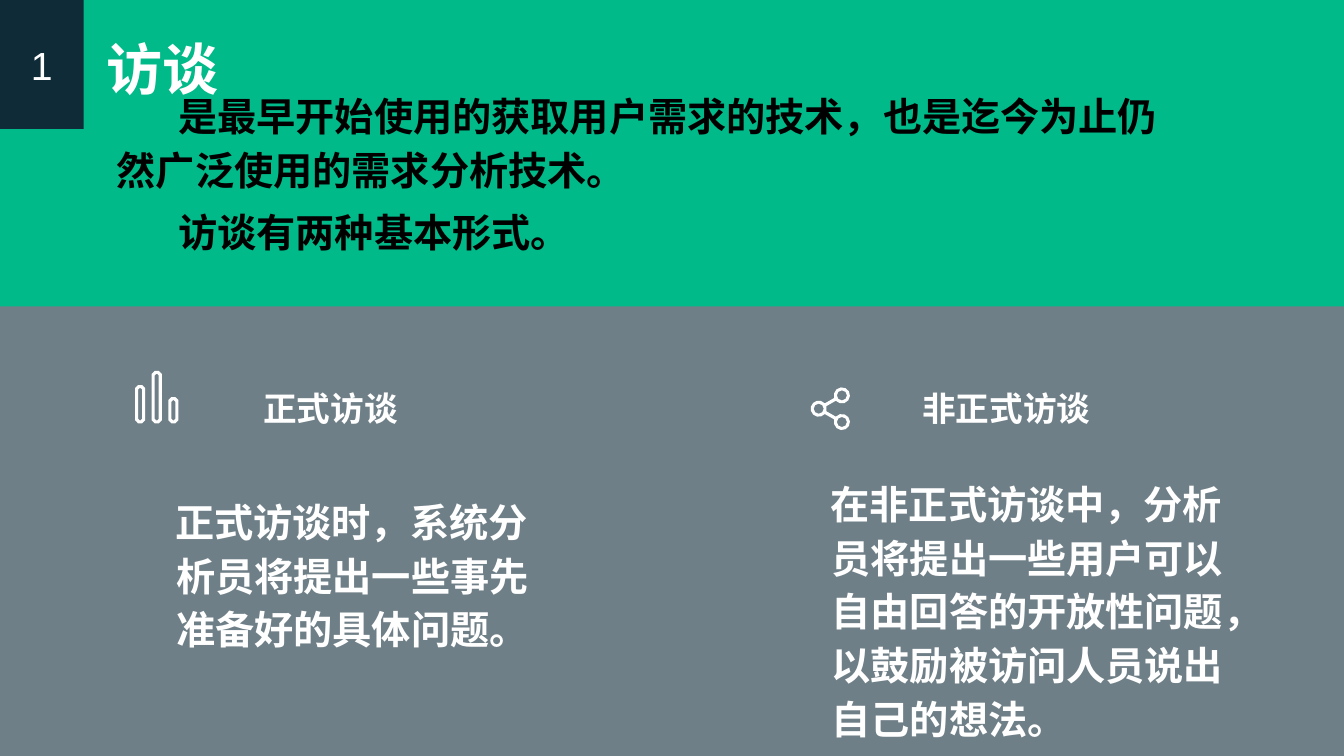
"""Build a slide that compares formal and informal interviews."""

import math
from dataclasses import dataclass

import lxml.etree
import pptx
import pptx.dml.color
import pptx.enum.shapes
import pptx.enum.text
import pptx.oxml.ns
import pptx.util

COLOURS = {"green": "00BA89", "navy": "0F2B37", "white": "FFFFFF", "black": "000000"}
CHINESE_FONT = "Noto Sans CJK SC"
SLIDE_WIDTH = pptx.util.Inches(13.33)
SLIDE_HEIGHT = pptx.util.Inches(7.5)
ICON_UNIT = SLIDE_WIDTH / 1333
ALIGN = pptx.enum.text.PP_ALIGN
ANCHOR = pptx.enum.text.MSO_ANCHOR
AUTO_SIZE = pptx.enum.text.MSO_AUTO_SIZE

Contour = list[tuple[float, float]]


@dataclass(frozen=True)
class Box:
    """A rectangle in percent of the slide's width and height."""

    left: float
    top: float
    width: float
    height: float

    def place(self) -> dict[str, int]:
        return {
            "left": round(self.left * SLIDE_WIDTH / 100),
            "top": round(self.top * SLIDE_HEIGHT / 100),
            "width": round(self.width * SLIDE_WIDTH / 100),
            "height": round(self.height * SLIDE_HEIGHT / 100),
        }


@dataclass(frozen=True)
class Panel:
    """A plain rectangle with an opacity in percent."""

    box: Box
    colour: str
    opacity: int = 100


@dataclass(frozen=True)
class TextStyle:
    """The look of every paragraph in one block."""

    size: float
    colour: str = "white"
    bold: bool = True
    font: str = CHINESE_FONT
    align: ALIGN = ALIGN.LEFT
    line_spacing: float = 1.0
    space_after: float = 0
    margin: float = 0
    indent: float = 0


@dataclass(frozen=True)
class TextBlock:
    """A text box with its paragraphs."""

    box: Box
    style: TextStyle
    paragraphs: tuple[str, ...]


LABEL = TextStyle(24, align=ALIGN.CENTER)
DETAIL = TextStyle(28, line_spacing=1.14, margin=0.75, indent=-0.01)
INTRO = TextStyle(28, "black", line_spacing=1.14, space_after=6, margin=0.39, indent=0.61)
TITLE = TextBlock(Box(7.2, 3.87, 14.48, 10.27), TextStyle(40), ("访谈",))
BADGE = TextBlock(Box(0, 0, 6.23, 17.07), TextStyle(28, bold=False, font="Arial", align=ALIGN.CENTER), ("1",))
PANELS = (
    Panel(Box(0, 34.13, 100, 65.87), "navy", 60),
    Panel(Box(0, 0, 100, 40.53), "green"),
)
TEXT_BLOCKS = (
    TextBlock(Box(15.45, 50.67, 18.3, 6.67), LABEL, ("正式访谈",)),
    TextBlock(Box(6.75, 64.4, 34.81, 21.87), DETAIL, ("正式访谈时，系统分析员将提出一些事先准备好的具体问题。",)),
    TextBlock(Box(65.72, 50.67, 18.3, 6.67), LABEL, ("非正式访谈",)),
    TextBlock(
        Box(55.51, 62, 36.76, 37.2),
        DETAIL,
        ("在非正式访谈中，分析员将提出一些用户可以自由回答的开放性问题，以鼓励被访问人员说出自己的想法。",),
    ),
    TextBlock(
        Box(5.03, 10.67, 84.4, 24),
        INTRO,
        ("是最早开始使用的获取用户需求的技术，也是迄今为止仍然广泛使用的需求分析技术。", "访谈有两种基本形式。"),
    ),
)
BAR_TOPS = (382, 368, 394)
HUB, UPPER_NODE, LOWER_NODE = (812, 405.5), (835, 392.3), (835, 418.7)
NODE_RADIUS, HOLE_RADIUS = 8, 5
LINK_ANGLE, LINK_SPREAD = 30, 11.5


def apply(target: object, values: dict[str, object]) -> None:
    for name, value in values.items():
        setattr(target, name, value)


def rgb(colour: str) -> pptx.dml.color.RGBColor:
    return pptx.dml.color.RGBColor.from_string(COLOURS[colour])


def paint(shape: pptx.shapes.autoshape.Shape, colour: str, opacity: int = 100) -> None:
    shape.shadow.inherit = False
    shape.fill.solid()
    shape.fill.fore_color.rgb = rgb(colour)
    shape.line.fill.background()
    if opacity < 100:
        tag = pptx.oxml.ns.qn("a:srgbClr")
        fill_colour = next(shape._element.spPr.iter(tag))
        alpha = lxml.etree.SubElement(fill_colour, pptx.oxml.ns.qn("a:alpha"))
        alpha.set("val", str(opacity * 1000))


def add_panel(slide: pptx.slide.Slide, panel: Panel) -> pptx.shapes.autoshape.Shape:
    rectangle = pptx.enum.shapes.MSO_SHAPE.RECTANGLE
    shape = slide.shapes.add_shape(rectangle, **panel.box.place())
    paint(shape, panel.colour, panel.opacity)
    return shape


def write(shape: pptx.shapes.autoshape.Shape, block: TextBlock, frame_format: dict[str, object]) -> None:
    style = block.style
    frame = shape.text_frame
    frame.text = "\n".join(block.paragraphs)
    apply(frame, {"word_wrap": True, **frame_format})
    for paragraph in frame.paragraphs:
        apply(paragraph, {
            "alignment": style.align,
            "line_spacing": style.line_spacing,
            "space_after": pptx.util.Pt(style.space_after),
        })
        properties = paragraph._p.get_or_add_pPr()
        properties.set("marL", str(pptx.util.Inches(style.margin)))
        properties.set("indent", str(pptx.util.Inches(style.indent)))
        for run in paragraph.runs:
            apply(run.font, {"size": pptx.util.Pt(style.size), "bold": style.bold, "name": style.font})
            run.font.color.rgb = rgb(style.colour)
            east_asian = lxml.etree.SubElement(run._r.get_or_add_rPr(), pptx.oxml.ns.qn("a:ea"))
            east_asian.set("typeface", style.font)


def arc(centre: tuple[float, float], radius: float, start: float, sweep: float, steps: int) -> Contour:
    angles = [math.radians(start + sweep * step / steps) for step in range(steps + 1)]
    return [(centre[0] + radius * math.cos(angle), centre[1] + radius * math.sin(angle)) for angle in angles]


def rounded_bar(left: float, top: float, right: float, bottom: float, radius: float) -> Contour:
    corners = (
        (right - radius, bottom - radius), (left + radius, bottom - radius),
        (left + radius, top + radius), (right - radius, top + radius),
    )
    return [point for index, corner in enumerate(corners) for point in arc(corner, radius, 90 * index, 90, 1)]


def share_contours() -> list[Contour]:
    outer, inner = LINK_ANGLE + LINK_SPREAD, LINK_ANGLE - LINK_SPREAD
    around = 360 - 2 * LINK_SPREAD
    arcs = (
        (HUB, outer, 360 - 2 * outer, 9),
        (UPPER_NODE, 180 - inner, around, 10),
        (HUB, -inner, 2 * inner, 1),
        (LOWER_NODE, 180 + outer, around, 10),
    )
    outline = [
        point
        for centre, start, sweep, steps in arcs
        for point in arc(centre, NODE_RADIUS, start, sweep, steps)
    ]
    return [outline] + [arc(centre, HOLE_RADIUS, 0, 360, 8)[1:] for centre in (HUB, UPPER_NODE, LOWER_NODE)]


def add_icon(slide: pptx.slide.Slide, contours: list[Contour]) -> None:
    scaled = [[(x * ICON_UNIT, y * ICON_UNIT) for x, y in contour] for contour in contours]
    builder = slide.shapes.build_freeform(*scaled[0][0])
    for index, contour in enumerate(scaled):
        if index:
            builder.move_to(*contour[0])
        builder.add_line_segments(contour[1:], close=True)
    paint(builder.convert_to_shape(), "white")


def main() -> None:
    presentation = pptx.Presentation()
    apply(presentation, {"slide_width": SLIDE_WIDTH, "slide_height": SLIDE_HEIGHT})
    slide = presentation.slides.add_slide(presentation.slide_layouts[5])
    title = slide.shapes.title
    for panel in PANELS:
        add_panel(slide, panel)._element.addnext(title._element)
    growing = {"auto_size": AUTO_SIZE.SHAPE_TO_FIT_TEXT, "vertical_anchor": ANCHOR.TOP}
    apply(title, TITLE.box.place())
    write(title, TITLE, growing)
    add_icon(slide, [
        rounded_bar(left + inset, top + inset, left + 10 - inset, 420 - inset, radius)
        for left, top in zip((134, 150.5, 167), BAR_TOPS)
        for inset, radius in ((0, 3), (3, 1.5))
    ])
    add_icon(slide, share_contours())
    for block in TEXT_BLOCKS:
        write(slide.shapes.add_textbox(**block.box.place()), block, growing)
    badge = add_panel(slide, Panel(BADGE.box, "navy"))
    write(badge, BADGE, {"vertical_anchor": ANCHOR.MIDDLE})
    presentation.save("out.pptx")


if __name__ == "__main__":
    main()
